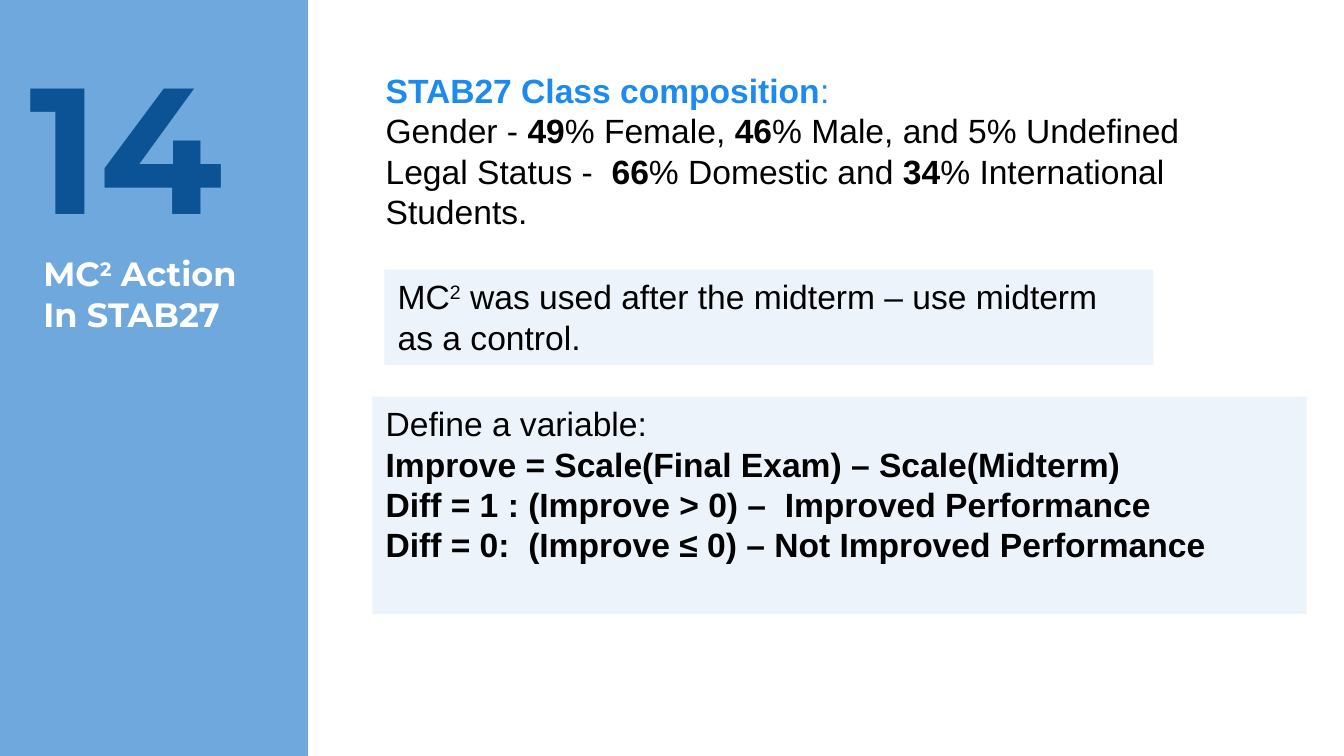
from pptx import Presentation
from pptx.dml.color import RGBColor as RGB
from pptx.enum.shapes import MSO_SHAPE as Shape
from pptx.enum.text import MSO_ANCHOR as Anchor, PP_ALIGN as Align
from pptx.util import Pt

COLORS = {
    "side": "6FA8DC",
    "page": "FFFFFF",
    "panel": "ECF3FA",
    "number": "0B5394",
    "head": "1D8AEF",
    "text": "000000",
}
WIDE, HIGH = 720, 405
SIDE = 165


def color(name):
    return RGB.from_string(COLORS[name])


def write(shape, lines, font="Arial", size=18, tone="text", pad=(7.2, 3.6)):
    """Fill a shape with lines; a run is its text, then any of b (bold), s (superscript) and a colour."""
    frame = shape.text_frame
    frame.word_wrap = True
    frame.vertical_anchor = Anchor.TOP
    frame.margin_left = frame.margin_right = Pt(pad[0])
    frame.margin_top = frame.margin_bottom = Pt(pad[1])
    for i, line in enumerate(lines):
        para = frame.paragraphs[0] if i == 0 else frame.add_paragraph()
        para.alignment = Align.LEFT
        for text, *marks in line:
            run = para.add_run()
            run.text = text
            run.font.name = font
            run.font.size = Pt(size)
            run.font.bold = "b" in marks
            hue = next((m for m in marks if m in COLORS), tone)
            run.font.color.rgb = color(hue)
            if "s" in marks:
                run.font._element.set("baseline", "30000")


def add_box(slide, box, fill):
    shape = slide.shapes.add_shape(Shape.RECTANGLE, *map(Pt, box))
    shape.shadow.inherit = False
    shape.fill.solid()
    shape.fill.fore_color.rgb = color(fill)
    shape.line.fill.background()
    return shape


def add_text(slide, box, lines, **style):
    write(slide.shapes.add_textbox(*map(Pt, box)), lines, **style)


def add_panel(slide, box, lines):
    write(add_box(slide, box, "panel"), lines)


def add_side(slide, box):
    """Place the slide number and the title in the side band."""
    x, y, w, h = box
    style = {"font": "Montserrat", "pad": (7.2, 7.2)}
    title = slide.shapes.title
    title.left, title.top = Pt(x + 16), Pt(y + 128.5)
    title.width, title.height = Pt(w - 30), Pt(67.5)
    write(title, [[("MC", "b"), ("2", "b", "s"), (" Action In STAB27", "b")]],
          tone="page", **style)
    add_text(slide, (x + 8.5, y + 11.5, w - 22, 98.5), [[("14", "b")]],
             size=96, tone="number", **style)


def add_body(slide, box):
    """Place the class facts and the two panels on the white page."""
    x, y, w, h = box
    add_text(slide, (x + 34.5, y + 34, 471.5, 94.5), [
        [("STAB27 Class composition", "b", "head"), (":", "head")],
        [("Gender - ",), ("49", "b"), ("% Female, ",), ("46", "b"),
         ("% Male, and 5% Undefined",)],
        [("Legal Status -  ",), ("66", "b"), ("% Domestic and ",),
         ("34", "b"), ("% International Students.",)],
    ])
    add_panel(slide, (x + 41, y + 144.5, 412, 51), [
        [("MC",), ("2", "s"),
         (" was used after the midterm – use midterm as a control.",)],
    ])
    add_panel(slide, (x + 34.5, y + 212.5, 500.5, 116.5), [
        [("Define a variable:",)],
        [("Improve = Scale(Final Exam) – Scale(Midterm)", "b")],
        [("Diff = 1 : (Improve > 0) –  Improved Performance", "b")],
        [("Diff = 0:  (Improve ≤ 0) – Not Improved Performance", "b")],
    ])


def main():
    deck = Presentation()
    deck.slide_width, deck.slide_height = Pt(WIDE), Pt(HIGH)
    slide = deck.slides.add_slide(deck.slide_layouts[5])
    back = slide.background.fill
    back.solid()
    back.fore_color.rgb = color("side")
    page = (SIDE, 0, WIDE - SIDE, HIGH)
    add_box(slide, page, "page")
    add_side(slide, (0, 0, SIDE, HIGH))
    add_body(slide, page)
    deck.save("out.pptx")


if __name__ == "__main__":
    main()
